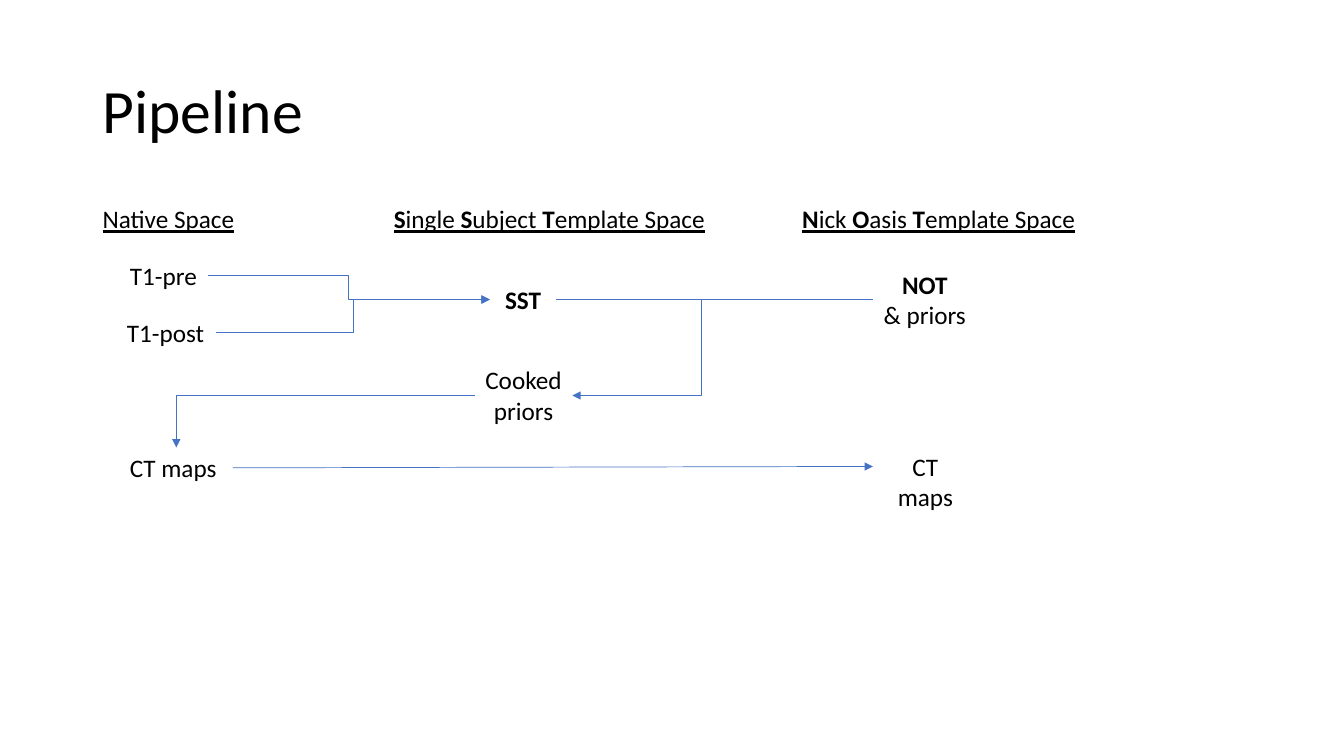
from lxml import etree
from pptx import Presentation
from pptx.dml.color import RGBColor
from pptx.enum import shapes, text
from pptx.oxml.ns import qn
from pptx.util import Pt

COLORS = {"ink": "000000", "line": "4472C4"}
FONT = "Calibri"
TOP, LEFT, RIGHT = 0, 1, 3
CENTER, START = text.PP_ALIGN.CENTER, text.PP_ALIGN.LEFT


def add_span(para, words, size=18, bold=False, underline=False):
    """Add one formatted run to a paragraph."""
    span = para.add_run()
    span.text = words
    span.font.name = FONT
    span.font.size = Pt(size)
    span.font.bold = bold
    span.font.underline = underline
    span.font.color.rgb = RGBColor.from_string(COLORS["ink"])


def add_label(page, left, top, width, height, lines, align=START, underline=False):
    """Add a text box whose lines are lists of (words, bold) runs."""
    box = page.shapes.add_textbox(Pt(left), Pt(top), Pt(width), Pt(height))
    frame = box.text_frame
    frame.word_wrap = False
    frame.auto_size = text.MSO_AUTO_SIZE.SHAPE_TO_FIT_TEXT
    for index, line in enumerate(lines):
        para = frame.add_paragraph() if index else frame.paragraphs[0]
        para.alignment = align
        for words, bold in line:
            add_span(para, words, bold=bold, underline=underline)
    return box


def add_link(page, start, start_side, end, end_side, bend=None, corner=False, arrow=True):
    """Join two boxes; bend is the x of an elbow, corner makes a single turn."""
    kinds = shapes.MSO_CONNECTOR
    kind = kinds.ELBOW if bend or corner else kinds.STRAIGHT
    link = page.shapes.add_connector(kind, 0, 0, 0, 0)
    link.begin_connect(start, start_side)
    link.end_connect(end, end_side)
    link.line.color.rgb = RGBColor.from_string(COLORS["line"])
    link.line.width = Pt(0.5)
    props = link._element.spPr
    shape = props.find(qn("a:prstGeom"))
    if corner:
        shape.set("prst", "bentConnector2")
    if bend:
        share = (Pt(bend) - link.begin_x) / (link.end_x - link.begin_x)
        guides = shape.get_or_add_avLst()
        etree.SubElement(guides, qn("a:gd"), name="adj1", fmla=f"val {round(share * 100000)}")
    if arrow:
        etree.SubElement(props.find(qn("a:ln")), qn("a:tailEnd"), type="triangle")
    etree.SubElement(props, qn("a:effectLst"))


def add_title(page, left, top, width, height):
    """Place and format the title placeholder."""
    title = page.shapes.title
    title.left, title.top, title.width, title.height = map(Pt, (left, top, width, height))
    frame = title.text_frame
    frame.vertical_anchor = text.MSO_ANCHOR.MIDDLE
    para = frame.paragraphs[0]
    para.alignment = START
    para.line_spacing = 0.9
    add_span(para, "Pipeline", size=44)


def add_headings(page, left, top, height):
    """Add the underlined names of the three spaces."""
    template = [("T", True), ("emplate Space", False)]
    headings = [
        (0, 109.4, [("Native Space", False)]),
        (208, 239, [("S", True), ("ingle ", False), ("S", True), ("ubject ", False)] + template),
        (499.7, 217.4, [("N", True), ("ick ", False), ("O", True), ("asis ", False)] + template),
    ]
    for offset, width, line in headings:
        add_label(page, left + offset, top, width, height, [line], underline=True)


def add_flow(page, left, top):
    """Add the processing steps and the links between them."""
    one, two = 29, 51
    steps = {
        "pre": (19.5, 0, 62.6, one, [[("T1-pre", False)]], START),
        "post": (17.3, 41, 70.6, one, [[("T1-post", False)]], START),
        "sst": (283.7, 17.3, 47.5, one, [[("SST", True)]], CENTER),
        "not": (557.3, 6.3, 74.2, two, [[("NOT", True)], [("& priors", False)]], CENTER),
        "cooked": (272.9, 74.8, 69.8, two, [[("Cooked", False)], [("priors", False)]], CENTER),
        "native": (19.5, 137.5, 80.6, one, [[("CT maps", False)]], START),
        "mapped": (557.3, 136.5, 75, one, [[("CT maps", False)]], CENTER),
    }
    box = {
        name: add_label(page, left + x, top + y, width, height, lines, align)
        for name, (x, y, width, height, lines, align) in steps.items()
    }
    add_link(page, box["pre"], RIGHT, box["sst"], LEFT, bend=left + 183)
    add_link(page, box["post"], RIGHT, box["sst"], LEFT, bend=left + 186)
    add_link(page, box["sst"], RIGHT, box["cooked"], RIGHT, bend=left + 435)
    add_link(page, box["sst"], RIGHT, box["not"], LEFT, arrow=False)
    add_link(page, box["cooked"], LEFT, box["native"], TOP, corner=True)
    add_link(page, box["native"], RIGHT, box["mapped"], LEFT)


def main():
    """Build the slide and save it."""
    deck = Presentation()
    deck.slide_width, deck.slide_height = Pt(960), Pt(540)
    page = deck.slides.add_slide(deck.slide_layouts.get_by_name("Title Only"))
    add_title(page, 66.2, 28.8, 828, 104.4)
    add_headings(page, 66.2, 141.8, 29)
    add_flow(page, 66.2, 182.2)
    deck.save("out.pptx")


if __name__ == "__main__":
    main()
